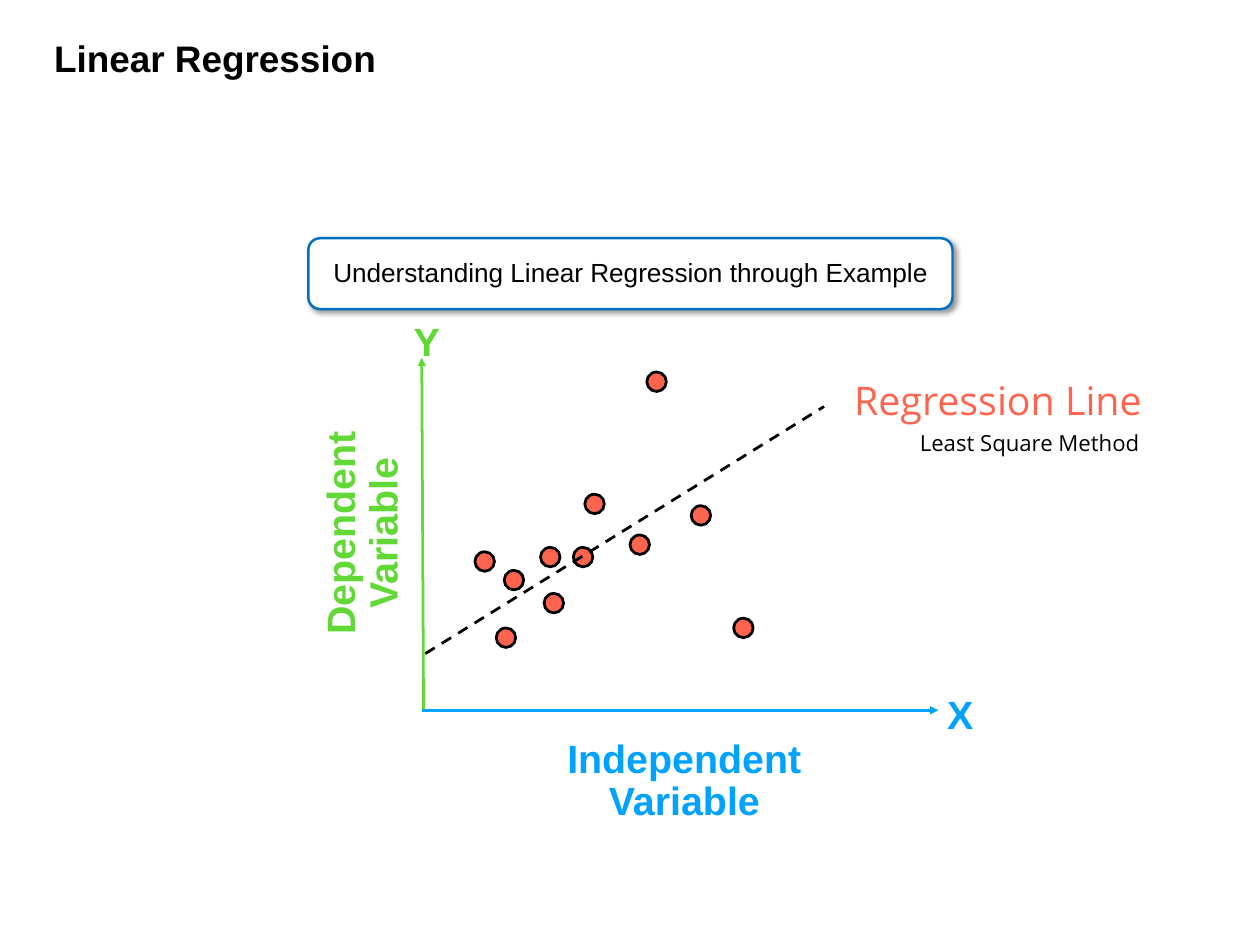
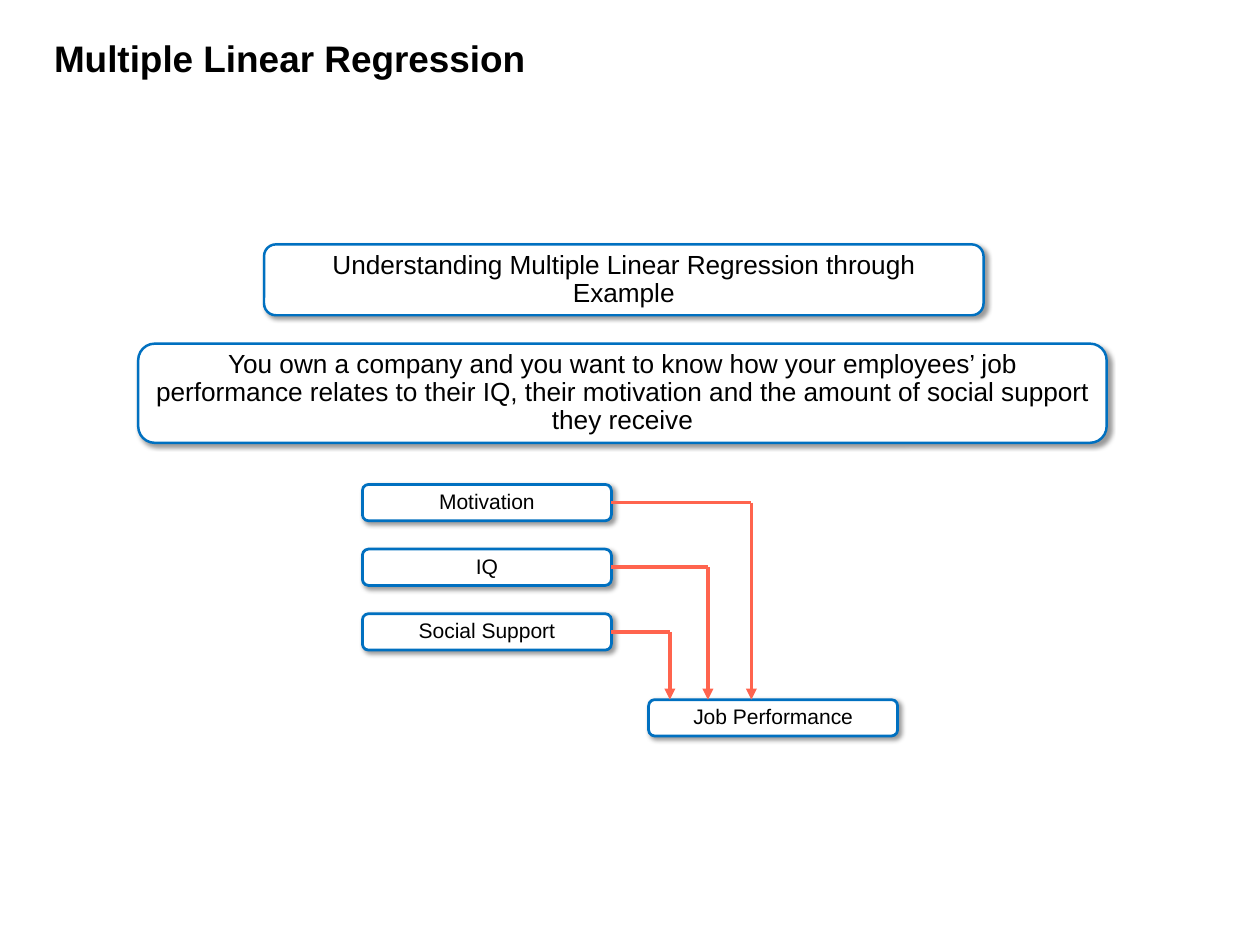
import pptx
import pptx.util
import pptx.dml.color
import pptx.enum.dml
import pptx.enum.shapes
import pptx.enum.text
import pptx.oxml
import pptx.oxml.ns
from lxml import etree

Inches, Pt = pptx.util.Inches, pptx.util.Pt
SHAPE = pptx.enum.shapes.MSO_SHAPE
ALIGN = pptx.enum.text.PP_ALIGN
ANCHOR = pptx.enum.text.MSO_ANCHOR
qn = pptx.oxml.ns.qn

# Shared look
COLORS = {"black": "000000", "white": "FFFFFF", "border": "0070C0",
          "x": "00A2FF", "y": "61D836", "accent": "FF644E"}
TITLE_FRAME = (0.51, 0.41, 7.34, 0.56)
TITLE_LAYOUT = 5
BOX_MARGIN = 0.12

# Slide 1: scatter plot
SCATTER_TITLE = "Linear Regression"
SCATTER_BANNER = ("Understanding Linear Regression through Example", (3.48, 2.69, 7.27, 0.8))
# text, frame, rotation, alignment, size, font, colour, bold
SCATTER_LABELS = [
    ("Independent Variable", (6.06, 8.3, 3.33, 1.07), 0, ALIGN.CENTER, 32, "Arial", "x", True),
    ("Dependent Variable", (2.83, 5.48, 2.56, 1.07), 270, ALIGN.CENTER, 32, "Arial", "y", True),
    ("X", (10.59, 7.8, 0.82, 0.59), 0, ALIGN.LEFT, 32, "Arial", "x", True),
    ("Y", (4.57, 3.59, 0.39, 0.59), 0, ALIGN.CENTER, 32, "Arial", "y", True),
    ("Regression Line", (9.45, 4.26, 3.63, 0.59), 0, ALIGN.CENTER, 32, "Open Sans", "accent", False),
    ("Least Square Method", (10.25, 4.83, 2.74, 0.37), 0, ALIGN.CENTER, 18, "Open Sans", "black", False),
]
Y_AXIS = ((4.78, 8.02), (4.76, 4.04))
X_AXIS = ((4.76, 8.02), (10.59, 8.02))
REGRESSION_LINE = ((4.8, 7.38), (9.3, 4.59))
DOT_SIZE = 0.22
DOTS = [(5.36, 6.23), (6.14, 6.7), (6.1, 6.18), (5.6, 7.09), (6.47, 6.18), (7.8, 5.71),
        (6.6, 5.58), (5.69, 6.44), (7.3, 4.2), (7.11, 6.04), (8.28, 6.98)]

# Slide 2: factors leading to an outcome
FACTOR_TITLE = "Multiple Linear Regression"
FACTOR_BANNERS = [
    ("Understanding Multiple Linear Regression through Example", (2.98, 2.76, 8.12, 0.8)),
    ("You own a company and you want to know how your employees’ job performance relates "
     "to their IQ, their motivation and the amount of social support they receive",
     (1.56, 3.88, 10.93, 1.12)),
]
# factor, horizontal place where its arrow turns down
FACTORS = [("Motivation", 8.48), ("IQ", 7.99), ("Social Support", 7.56)]
FACTOR_LEFT, FACTOR_TOP, FACTOR_STEP = 4.09, 5.47, 0.73
FACTOR_WIDTH, FACTOR_HEIGHT = 2.81, 0.41
OUTCOME, OUTCOME_LEFT, OUTCOME_TOP = "Job Performance", 7.32, 7.9


def rgb(name):
    return pptx.dml.color.RGBColor.from_string(COLORS[name])


def write(shape, text, size, font="Arial", color="black", bold=False,
          align=ALIGN.CENTER, anchor=ANCHOR.TOP):
    frame = shape.text_frame
    frame.word_wrap = True
    frame.auto_size = pptx.enum.text.MSO_AUTO_SIZE.NONE
    frame.vertical_anchor = anchor
    para = frame.paragraphs[0]
    para.alignment = align
    para.line_spacing = 0.9
    para.space_before = Pt(0)
    span = para.add_run()
    span.text = text
    span.font.size = Pt(size)
    span.font.name = font
    span.font.bold = bold
    span.font.color.rgb = rgb(color)


def add_page(deck, title):
    page = deck.slides.add_slide(deck.slide_layouts[TITLE_LAYOUT])
    heading = page.shapes.title
    heading.left, heading.top, heading.width, heading.height = map(Inches, TITLE_FRAME)
    write(heading, title, 30, bold=True, align=ALIGN.LEFT)
    return page


def add_outlined(page, kind, frame, fill, line, width):
    shape = page.shapes.add_shape(kind, *map(Inches, frame))
    shape.fill.solid()
    shape.fill.fore_color.rgb = rgb(fill)
    shape.line.color.rgb = rgb(line)
    shape.line.width = Pt(width)
    shape.shadow.inherit = False
    return shape


def add_box(page, text, frame, size=21.3, width=2):
    box = add_outlined(page, SHAPE.ROUNDED_RECTANGLE, frame, "white", "border", width)
    # Soft drop shadow to the lower right
    effects = box._element.spPr.find(qn("a:effectLst"))
    shadow = etree.SubElement(effects, qn("a:outerShdw"), blurRad=str(Pt(4)), dist=str(Pt(3)),
                              dir=str(45 * 60000), algn="tl", rotWithShape="0")
    tint = etree.SubElement(shadow, qn("a:srgbClr"), val=COLORS["black"])
    etree.SubElement(tint, qn("a:alpha"), val="40000")
    box.text_frame.margin_left = box.text_frame.margin_right = Inches(BOX_MARGIN)
    write(box, text, size, anchor=ANCHOR.MIDDLE)


def add_line(page, start, end, color, width=2.25, arrow=False, dashed=False):
    line = page.shapes.add_connector(pptx.enum.shapes.MSO_CONNECTOR.STRAIGHT,
                                     *map(Inches, (*start, *end)))
    line.line.color.rgb = rgb(color)
    line.line.width = Pt(width)
    if dashed:
        line.line.dash_style = pptx.enum.dml.MSO_LINE.DASH
    properties = line._element.spPr
    if arrow:
        etree.SubElement(properties.find(qn("a:ln")), qn("a:tailEnd"), type="triangle")
    etree.SubElement(properties, qn("a:effectLst"))


def build_scatter(deck):
    page = add_page(deck, SCATTER_TITLE)
    add_box(page, *SCATTER_BANNER)
    for text, frame, rotation, align, size, font, color, bold in SCATTER_LABELS:
        label = page.shapes.add_textbox(*map(Inches, frame))
        label.rotation = rotation
        write(label, text, size, font, color, bold, align)
    add_line(page, *Y_AXIS, "y", arrow=True)
    add_line(page, *X_AXIS, "x", arrow=True)
    for left, top in DOTS:
        add_outlined(page, SHAPE.OVAL, (left, top, DOT_SIZE, DOT_SIZE), "accent", "black", 2.25)
    add_line(page, *REGRESSION_LINE, "black", dashed=True)


def build_factors(deck):
    page = add_page(deck, FACTOR_TITLE)
    for text, frame in FACTOR_BANNERS:
        add_box(page, text, frame)
    size = (FACTOR_WIDTH, FACTOR_HEIGHT)
    add_box(page, OUTCOME, (OUTCOME_LEFT, OUTCOME_TOP, *size), 17.1, 2.25)
    for row, (factor, turn) in enumerate(FACTORS):
        top = FACTOR_TOP + row * FACTOR_STEP
        middle = top + FACTOR_HEIGHT / 2
        add_box(page, factor, (FACTOR_LEFT, top, *size), 17.1, 2.25)
        add_line(page, (FACTOR_LEFT + FACTOR_WIDTH, middle), (turn, middle), "accent", 3)
        add_line(page, (turn, middle), (turn, OUTCOME_TOP), "accent", 3, arrow=True)


def main():
    deck = pptx.Presentation()
    deck.slide_width, deck.slide_height = Inches(14.22), Inches(10.67)
    build_scatter(deck)
    build_factors(deck)
    deck.save("out.pptx")


if __name__ == "__main__":
    main()
